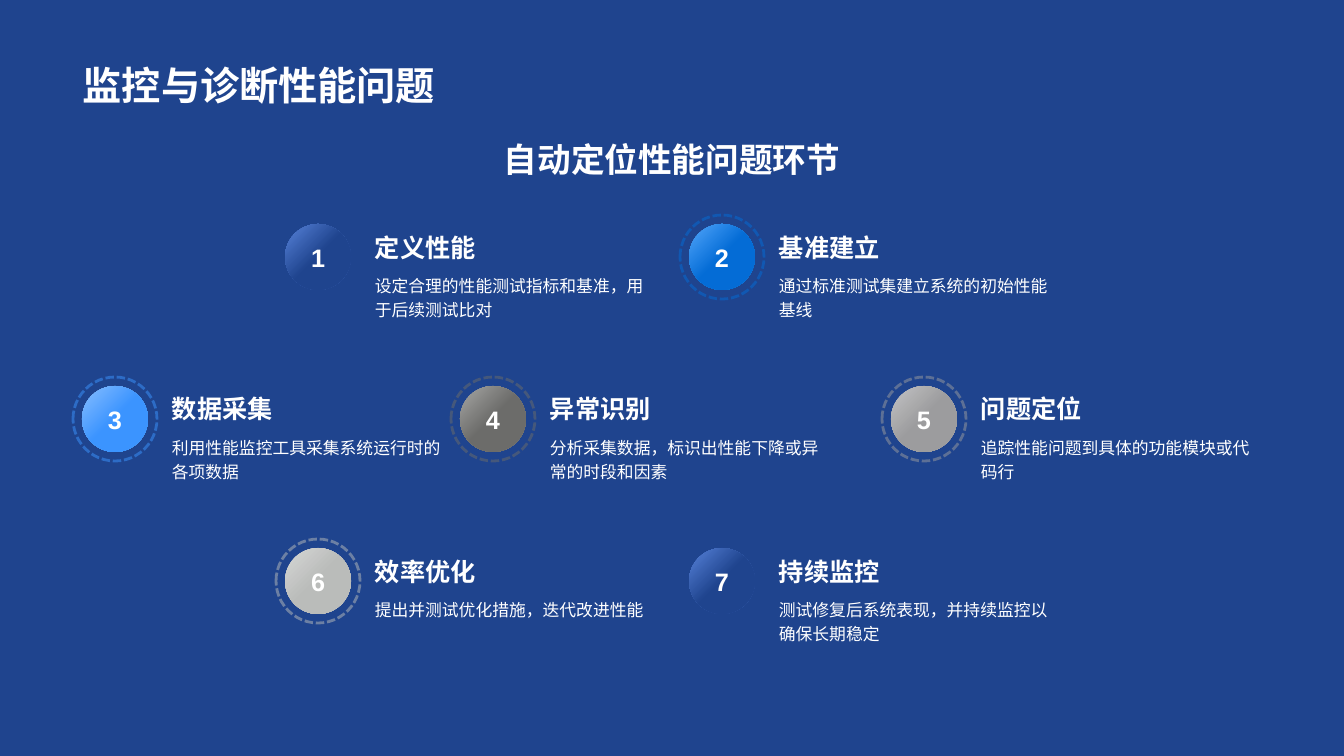
from dataclasses import dataclass

from lxml.etree import SubElement
from pptx import Presentation
from pptx.dml.color import RGBColor
from pptx.enum.dml import MSO_LINE
from pptx.enum.shapes import MSO_SHAPE
from pptx.enum.text import MSO_ANCHOR, PP_ALIGN
from pptx.oxml.ns import qn
from pptx.util import Pt

PX = 12192000 / 1344  # EMU per pixel


@dataclass(frozen=True)
class Theme:
    font: str = "Arial"
    background: str = "1F448E"
    text: str = "FFFFFF"
    title: int = 28
    subtitle: int = 24
    heading: int = 18
    body: int = 12
    ring_width: int = 2
    ring_alpha: int = 50
    # light and full tone of each disc
    tones: tuple = (("5984DB", "1F448E"), ("53A7FC", "046CD6"),
                    ("89BFFF", "3B94FF"), ("A7A7A5", "6C6C6A"),
                    ("C4C4C5", "9C9C9E"), ("D6D7D6", "BABCBA"))


THEME = Theme()

STEPS = [
    ("定义性能", "设定合理的性能测试指标和基准，用于后续测试比对"),
    ("基准建立", "通过标准测试集建立系统的初始性能基线"),
    ("数据采集", "利用性能监控工具采集系统运行时的各项数据"),
    ("异常识别", "分析采集数据，标识出性能下降或异常的时段和因素"),
    ("问题定位", "追踪性能问题到具体的功能模块或代码行"),
    ("效率优化", "提出并测试优化措施，迭代改进性能"),
    ("持续监控", "测试修复后系统表现，并持续监控以确保长期稳定"),
]
ROWS = [(276, 680), (73, 451, 882), (276, 680)]  # left edges of the steps
ROW_TOP, ROW_PITCH = 215, 162
STEP_W, STEP_H = 388, 137
RING, DISC = 84, 66


def emu(*lengths):
    return [round(length * PX) for length in lengths]


def write(frame, words, size, bold=True, align=PP_ALIGN.LEFT,
          anchor=MSO_ANCHOR.TOP, spacing=None, wrap=True):
    frame.word_wrap = wrap
    frame.vertical_anchor = anchor
    paragraph = frame.paragraphs[0]
    paragraph.alignment = align
    paragraph.line_spacing = spacing
    run = paragraph.add_run()
    run.text = words
    for name, value in dict(name=THEME.font, size=Pt(size), bold=bold).items():
        setattr(run.font, name, value)
    run.font.color.rgb = RGBColor.from_string(THEME.text)


def add_words(shapes, box, words, size, **style):
    write(shapes.add_textbox(*emu(*box)).text_frame, words, size, **style)


def add_circle(shapes, left, top, size):
    circle = shapes.add_shape(MSO_SHAPE.OVAL, *emu(left, top, size, size))
    circle.shadow.inherit = False
    return circle


def add_badge(shapes, box, number):
    left, top, size = box
    light, full = THEME.tones[(number - 1) % len(THEME.tones)]

    # Dashed, half transparent ring
    ring = add_circle(shapes, left, top, size)
    ring.fill.background()
    ring.line.color.rgb = RGBColor.from_string(full)
    ring.line.width = Pt(THEME.ring_width)
    ring.line.dash_style = MSO_LINE.SQUARE_DOT
    tone = ring.line.fill._xPr.find(".//" + qn("a:srgbClr"))
    SubElement(tone, qn("a:alpha"), val=str(THEME.ring_alpha * 1000))

    # Numbered disc, lit from the upper left
    inset = (size - DISC) / 2
    disc = add_circle(shapes, left + inset, top + inset, DISC)
    disc.line.fill.background()
    disc.fill.gradient()
    disc.fill.gradient_angle = 315
    for stop, color, position in zip(disc.fill.gradient_stops, (light, full), (0, 0.5)):
        stop.color.rgb = RGBColor.from_string(color)
        stop.position = position
    write(disc.text_frame, str(number), THEME.heading, align=PP_ALIGN.CENTER,
          anchor=MSO_ANCHOR.MIDDLE, wrap=False)


def add_step(shapes, box, number, heading, body):
    left, top, width, height = box
    text_left, body_top = left + 89, top + 52
    text_width = width - 89
    add_badge(shapes, (left, top, RING), number)
    add_words(shapes, (text_left, top - 22, text_width, 74), heading,
              THEME.heading, anchor=MSO_ANCHOR.BOTTOM)
    add_words(shapes, (text_left, body_top, text_width, height - 52), body,
              THEME.body, bold=False, spacing=1.2)


def add_steps(shapes, left_edges, top, first):
    for number, left in enumerate(left_edges, first):
        add_step(shapes, (left, top, STEP_W, STEP_H), number, *STEPS[number - 1])


def build_slide(deck):
    slide = deck.slides.add_slide(deck.slide_layouts[6])
    slide.background.fill.solid()
    slide.background.fill.fore_color.rgb = RGBColor.from_string(THEME.background)

    # Title
    add_words(slide.shapes, (73, 14, 1198, 99), "监控与诊断性能问题",
              THEME.title, anchor=MSO_ANCHOR.BOTTOM)

    # Diagram: subtitle and three rows of steps
    diagram = slide.shapes.add_group_shape().shapes
    add_words(diagram, (73, 125, 1198, 69), "自动定位性能问题环节",
              THEME.subtitle, align=PP_ALIGN.CENTER, anchor=MSO_ANCHOR.MIDDLE)
    first = 1
    for row, left_edges in enumerate(ROWS):
        add_steps(diagram, left_edges, ROW_TOP + row * ROW_PITCH, first)
        first += len(left_edges)


def main():
    deck = Presentation()
    deck.slide_width, deck.slide_height = emu(1344, 756)
    build_slide(deck)
    deck.save("out.pptx")


if __name__ == "__main__":
    main()
